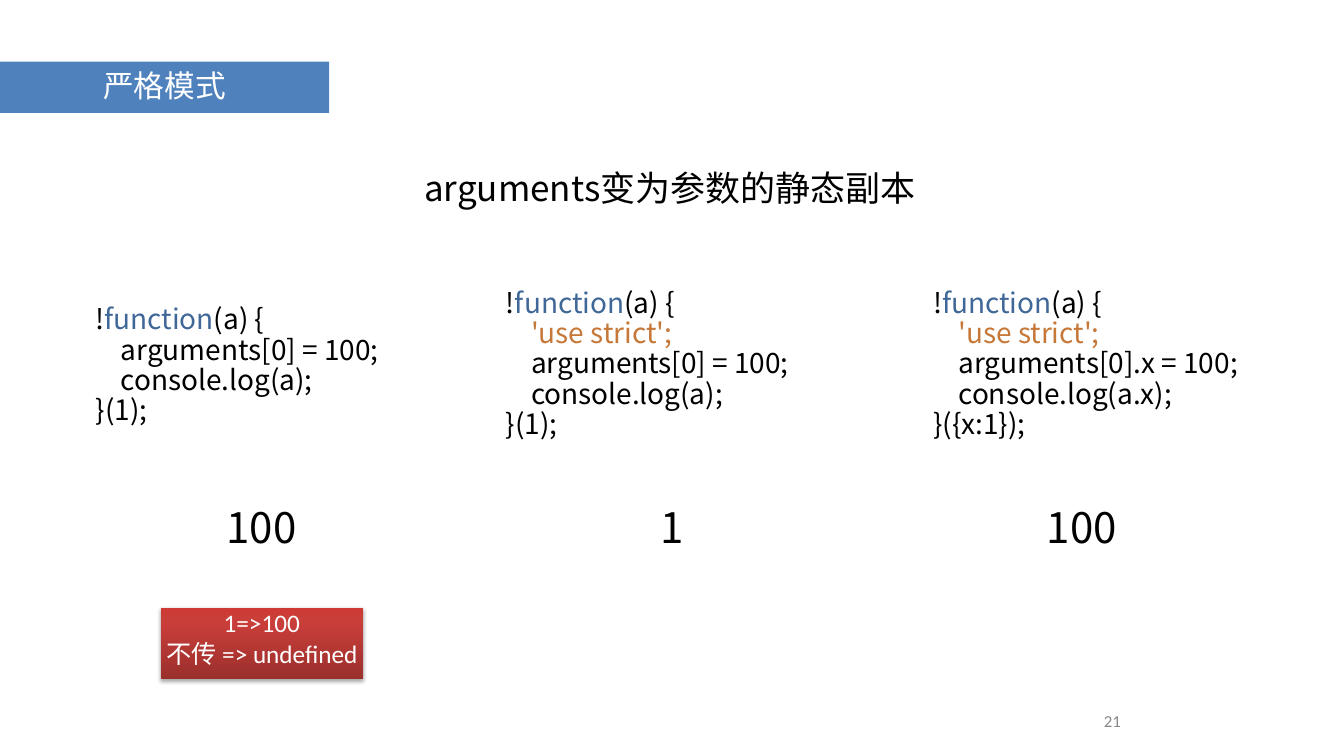
from copy import deepcopy

from lxml import etree
from pptx import Presentation
from pptx.dml.color import RGBColor
from pptx.enum.shapes import MSO_SHAPE
from pptx.enum.text import MSO_ANCHOR, PP_ALIGN
from pptx.oxml.ns import qn
from pptx.util import Cm, Pt

LEFT, CENTER, RIGHT = PP_ALIGN.LEFT, PP_ALIGN.CENTER, PP_ALIGN.RIGHT
TOP, MIDDLE = MSO_ANCHOR.TOP, MSO_ANCHOR.MIDDLE
RECTANGLE = MSO_SHAPE.RECTANGLE
TITLE_ONLY = 5

CODE_FONT, PLAIN_FONT = "Noto Sans CJK SC", "Calibri"
BLACK, WHITE, GREY = "000000", "FFFFFF", "888888"
BLUE, KEYWORD, STRING = "4F81BD", "3F6797", "C67838"
RED_STOPS = [(0, "9A2F2C"), (0.8, "CA3E3A"), (1, "CE3B37")]

CODE_MIDDLE, LINE_HEIGHT, CODE_PADDING = 18.8, 1.65, 0.69
OPENING = [("!", BLACK), ("function", KEYWORD), ("(a) {", BLACK)]
USE_STRICT = [("\t'use strict';", STRING)]


def rgb(value):
    return RGBColor.from_string(value)


def plain(*lines, color=BLACK):
    """Turn each line into a paragraph of one span."""
    return [[(line, color)] for line in lines]


class StrictModeSlide:
    def __init__(self, deck):
        self.page = deck.slides.add_slide(deck.slide_layouts[TITLE_ONLY])

    def set_text(self, shape, paragraphs, size, font=CODE_FONT, align=LEFT,
                 anchor=TOP, spacing=None, inset=0.25, wrap=False):
        """Fill a shape with paragraphs, each a list of (text, colour)."""
        frame = shape.text_frame
        frame.word_wrap = wrap
        frame.vertical_anchor = anchor
        frame.margin_left = frame.margin_right = Cm(inset)
        frame.margin_top = frame.margin_bottom = Cm(inset)
        for index, spans in enumerate(paragraphs):
            para = frame.add_paragraph() if index else frame.paragraphs[0]
            para.alignment = align
            para.line_spacing = spacing
            for text, color in spans:
                span = para.add_run()
                span.text = text
                span.font.size = Pt(size)
                span.font.name = font
                span.font.color.rgb = rgb(color)
                east_asian = etree.SubElement(span.font._element, qn("a:ea"))
                east_asian.set("typeface", CODE_FONT)

    def title(self, text, left, top, width, height):
        banner = self.page.shapes.title
        banner.left, banner.top = Cm(left), Cm(top)
        banner.width, banner.height = Cm(width), Cm(height)
        banner.fill.solid()
        banner.fill.fore_color.rgb = rgb(BLUE)
        self.set_text(banner, plain(text, color=WHITE), 43.8, align=CENTER,
                      anchor=MIDDLE, spacing=0.9, inset=0, wrap=True)

    def text(self, paragraphs, left, top, width, height, size, **style):
        box = self.page.shapes.add_textbox(
            Cm(left), Cm(top), Cm(width), Cm(height))
        self.set_text(box, paragraphs, size, **style)

    def code(self, paragraphs, left, width):
        """Place a snippet centred on the common height of all snippets."""
        height = LINE_HEIGHT * len(paragraphs) + CODE_PADDING
        self.text(paragraphs, left, CODE_MIDDLE - height / 2, width, height,
                  40, spacing=0.9)

    def result(self, text, center, width):
        self.text(plain(text), center - width / 2, 25.3, width, 3.3, 60,
                  align=CENTER, spacing=0.9)

    def note(self, lines, left, top, width, height):
        """Add a red gradient box with a soft shadow below it."""
        box = self.page.shapes.add_shape(
            RECTANGLE, Cm(left), Cm(top), Cm(width), Cm(height))
        box.line.fill.background()
        box.fill.gradient()
        box.fill.gradient_angle = 90
        properties = box._element.spPr
        stop_list = properties.find(".//" + qn("a:gsLst"))
        stop_list.append(deepcopy(stop_list[-1]))
        for stop, (position, color) in zip(box.fill.gradient_stops, RED_STOPS):
            stop.position = position
            stop.color.rgb = rgb(color)
        box.shadow.inherit = False
        shadow = etree.SubElement(
            properties.find(qn("a:effectLst")), qn("a:outerShdw"),
            blurRad=str(Pt(6)), dist=str(Pt(3)), dir="5400000", rotWithShape="0")
        color = etree.SubElement(shadow, qn("a:srgbClr"), val=BLACK)
        etree.SubElement(color, qn("a:alpha"), val="35000")
        self.set_text(box, plain(*lines, color=WHITE), 36, font=PLAIN_FONT,
                      align=CENTER, inset=0)


def main():
    deck = Presentation()
    deck.slide_width, deck.slide_height = Cm(67.74), Cm(38.1)
    slide = StrictModeSlide(deck)

    slide.title("严格模式", 0, 3.1, 16.59, 2.59)
    slide.text(plain("arguments变为参数的静态副本"), 21.13, 7.06, 25.48, 2.84, 50,
               spacing=1.5, wrap=True)

    body = plain("\targuments[0] = 100;", "\tconsole.log(a);", "}(1);")
    object_body = plain("\targuments[0].x = 100;", "\tconsole.log(a.x);",
                        "}({x:1});")
    slide.code([OPENING, *body], 4.57, 17.22)
    slide.code([OPENING, USE_STRICT, *body], 25.25, 17.22)
    slide.code([OPENING, USE_STRICT, *object_body], 46.79, 18.26)

    slide.result("100", 13.18, 4.27)
    slide.result("1", 33.86, 1.78)
    slide.result("100", 54.53, 4.27)

    slide.note(["1=>100", "不传 => undefined"], 8.1, 30.63, 10.19, 3.61)
    slide.text(plain("21", color=GREY), 44.88, 35.56, 11.86, 1.52, 24,
               font=PLAIN_FONT, align=RIGHT, anchor=MIDDLE, wrap=True)
    deck.save("out.pptx")


if __name__ == "__main__":
    main()
